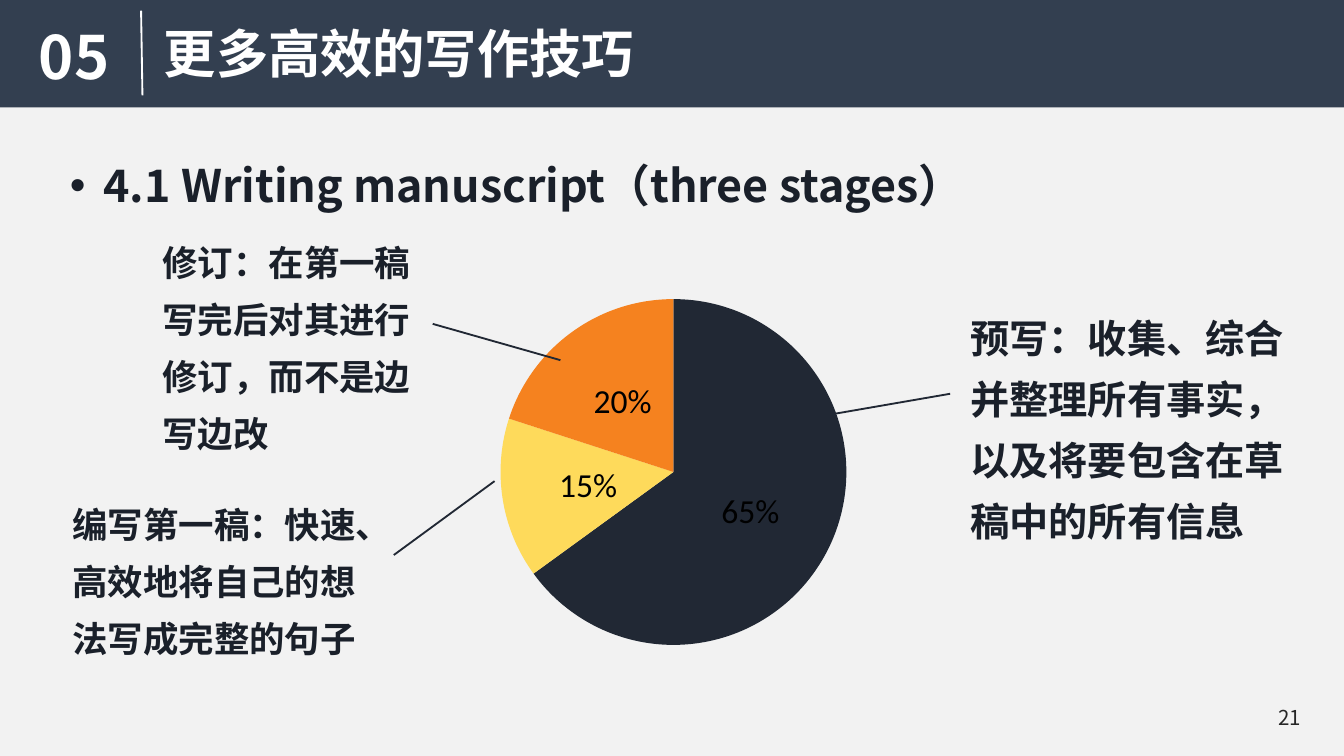
import pptx
import pptx.chart.data
import pptx.dml.color
import pptx.enum.chart
import pptx.enum.shapes
import pptx.enum.text
import pptx.oxml
import pptx.util
from lxml import etree

Pt = pptx.util.Pt
ALIGN = pptx.enum.text.PP_ALIGN
ANCHOR = pptx.enum.text.MSO_ANCHOR

FONT = "Noto Sans CJK SC"
COLORS = {
    "background": "F2F2F2", "banner": "333F50", "white": "FFFFFF",
    "text": "1A202A", "page": "262626", "black": "000000",
    "dark": "212834", "yellow": "FEDA5B", "orange": "F5821F",
}

# Content: boxes are (left, top, width, height) in points
SECTION = ("05", (17.28, 11.52, 54, 45.36))
TITLE = ("更多高效的写作技巧", (84.24, 7.92, 315.36, 47.52))
HEADING = ("4.1 Writing manuscript（three stages）", (33.84, 84.24, 653.04, 40.32))
PAGE = ("21", (680.4, 374.4, 20.16, 20.16))
DIVIDER = (75.6, 5.76, 76.32, 51.12)
CHART_BOX = (241.92, 158.4, 235.44, 187.2)
STAGES = [("1", 65, "dark"), ("2", 15, "yellow"), ("3", 20, "orange")]
# Lines of text, size, box, leader line (x1, y1, x2, y2)
CALLOUTS = [
    (["预写：收集、综合", "并整理所有事实，", "以及将要包含在草", "稿中的所有信息"],
     21, (480.24, 167.76, 218.16, 144.72), (396.72, 230.4, 509.04, 210.96)),
    (["编写第一稿：快速、", "高效地将自己的想", "法写成完整的句子"],
     19, (-0.72, 268.56, 220.32, 100.08), (210.96, 297.36, 264.96, 257.76)),
    (["修订：在第一稿", "写完后对其进行", "修订，而不是边", "写边改"],
     19, (47.52, 128.16, 182.16, 133.2), (231.84, 173.52, 300.24, 192.96)),
]


def rgb(name):
    return pptx.dml.color.RGBColor.from_string(COLORS[name])


def points(values):
    return [Pt(v) for v in values]


def add_text(s, lines, box, size, color, bold=True, spaced=True,
             indent=0, margin=0, bullet=None, align=ALIGN.LEFT,
             anchor=ANCHOR.TOP, wrap=True):
    tf = s.shapes.add_textbox(*points(box)).text_frame
    tf.word_wrap = wrap
    tf.vertical_anchor = anchor
    tf.margin_left = tf.margin_right = tf.margin_top = tf.margin_bottom = Pt(3.6)
    for i, line in enumerate(lines):
        p = tf.paragraphs[0] if i == 0 else tf.add_paragraph()
        p.alignment = align
        if spaced:
            p.line_spacing = 0.9
            p.space_before = Pt(10)
        pPr = p._p.get_or_add_pPr()
        pPr.set("marL", str(Pt(margin)))
        pPr.set("indent", str(Pt(indent)))
        if bullet:
            font = etree.SubElement(pPr, pptx.oxml.ns.qn("a:buFont"))
            font.set("typeface", "Arial")
            mark = etree.SubElement(pPr, pptx.oxml.ns.qn("a:buChar"))
            mark.set("char", bullet)
        r = p.add_run()
        r.text = line
        r.font.size = Pt(size)
        r.font.bold = bold
        r.font.name = FONT
        r.font.color.rgb = rgb(color)
        ea = etree.SubElement(r._r.get_or_add_rPr(), pptx.oxml.ns.qn("a:ea"))
        ea.set("typeface", FONT)


def add_line(s, ends, color):
    line = s.shapes.add_connector(
        pptx.enum.shapes.MSO_CONNECTOR.STRAIGHT, *points(ends))
    line.line.color.rgb = rgb(color)
    line.line.width = Pt(1)
    etree.SubElement(line._element.spPr, pptx.oxml.ns.qn("a:effectLst"))


def add_pie(s):
    data = pptx.chart.data.CategoryChartData()
    data.categories = [name for name, _, _ in STAGES]
    data.add_series("Series 1", [value for _, value, _ in STAGES])
    chart = s.shapes.add_chart(
        pptx.enum.chart.XL_CHART_TYPE.PIE, *points(CHART_BOX), data).chart
    chart.has_legend = False
    chart.has_title = False
    chart.font.name = "Calibri"
    chart.font.size = Pt(10)
    chart.font.color.rgb = rgb("black")
    plot = chart.plots[0]
    plot.vary_by_categories = True
    for i, (_, _, color) in enumerate(STAGES):
        fill = plot.series[0].points[i].format.fill
        fill.solid()
        fill.fore_color.rgb = rgb(color)

    # Percentage labels
    plot.has_data_labels = True
    labels = plot.data_labels
    labels.show_percentage = True
    labels.show_value = False
    labels.number_format = "#,##0%"
    labels.number_format_is_linked = False
    labels.position = pptx.enum.chart.XL_LABEL_POSITION.CENTER
    labels.font.name = "Calibri"
    labels.font.size = Pt(18)
    labels.font.color.rgb = rgb("black")

    # Let the pie fill the chart frame
    area = chart._chartSpace.chart.plotArea
    for old in area.findall(pptx.oxml.ns.qn("c:layout")):
        area.remove(old)
    layout = etree.Element(pptx.oxml.ns.qn("c:layout"))
    manual = etree.SubElement(layout, pptx.oxml.ns.qn("c:manualLayout"))
    for tag, value in [("layoutTarget", "inner"), ("xMode", "edge"),
                       ("yMode", "edge"), ("x", "0.01"), ("y", "0.01"),
                       ("w", "0.99"), ("h", "0.99")]:
        etree.SubElement(manual, pptx.oxml.ns.qn("c:" + tag)).set("val", value)
    area.insert(0, layout)


def main():
    prs = pptx.Presentation()
    prs.slide_width, prs.slide_height = Pt(720), Pt(405)
    s = prs.slides.add_slide(prs.slide_layouts[6])
    s.background.fill.solid()
    s.background.fill.fore_color.rgb = rgb("background")

    # Banner
    banner = s.shapes.add_shape(
        pptx.enum.shapes.MSO_SHAPE.RECTANGLE, *points((0, 0, 720, 57.6)))
    banner.shadow.inherit = False
    banner.fill.solid()
    banner.fill.fore_color.rgb = rgb("banner")
    banner.line.fill.background()
    add_text(s, [TITLE[0]], TITLE[1], 28, "white", spaced=False)
    add_text(s, [SECTION[0]], SECTION[1], 32, "white")
    add_line(s, DIVIDER, "white")

    # Heading and page number
    add_text(s, [HEADING[0]], HEADING[1], 24, "text",
             margin=18, indent=-18, bullet="•")
    add_text(s, [PAGE[0]], PAGE[1], 11, "page", bold=False, spaced=False,
             align=ALIGN.RIGHT, anchor=ANCHOR.MIDDLE, wrap=False)

    # Pie with its callouts
    add_pie(s)
    for lines, size, box, leader in CALLOUTS:
        add_line(s, leader, "dark")
        add_text(s, lines, box, size, "text", indent=36)

    prs.save("out.pptx")


if __name__ == "__main__":
    main()
